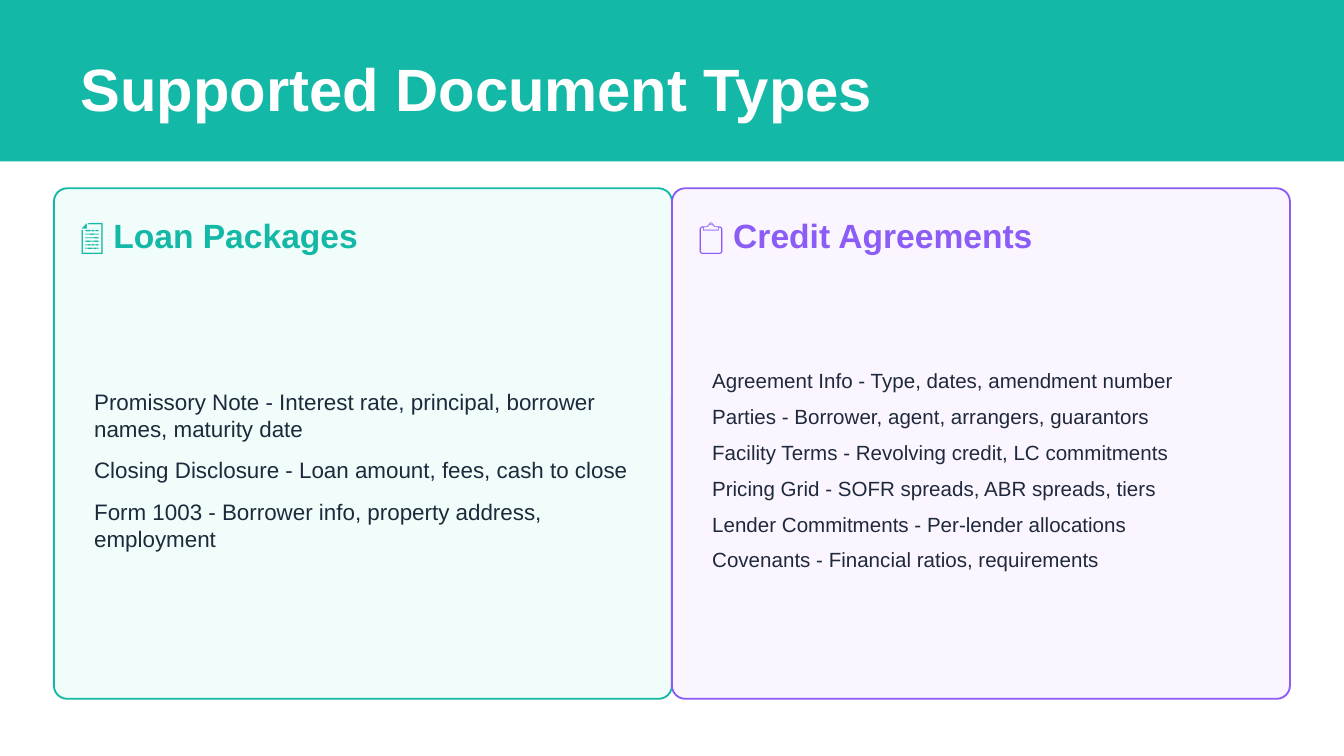
from pptx import Presentation
from pptx.dml.color import RGBColor
from pptx.enum.shapes import MSO_SHAPE
from pptx.enum.text import MSO_ANCHOR
from pptx.util import Cm, Pt

RECTANGLE = MSO_SHAPE.RECTANGLE
ROUNDED = MSO_SHAPE.ROUNDED_RECTANGLE
MIDDLE = MSO_ANCHOR.MIDDLE

TITLE = "Supported Document Types"
CARDS = [
    {
        "heading": "📄 Loan Packages",
        "style": "loan",
        "items": [
            "Promissory Note - Interest rate, principal, borrower names, maturity date",
            "Closing Disclosure - Loan amount, fees, cash to close",
            "Form 1003 - Borrower info, property address, employment",
        ],
    },
    {
        "heading": "📋 Credit Agreements",
        "style": "credit",
        "items": [
            "Agreement Info - Type, dates, amendment number",
            "Parties - Borrower, agent, arrangers, guarantors",
            "Facility Terms - Revolving credit, LC commitments",
            "Pricing Grid - SOFR spreads, ABR spreads, tiers",
            "Lender Commitments - Per-lender allocations",
            "Covenants - Financial ratios, requirements",
        ],
    },
]

THEME = {
    "font": "Arial",
    "banner": "14B8A6",
    "title": "FFFFFF",
    "body": "1E293B",
    "title_size": 32,
    "heading_size": 18,
    "loan": {"accent": "14B8A6", "fill": "F0FDFA", "size": 12, "gap": 8},
    "credit": {"accent": "8B5CF6", "fill": "FAF5FF", "size": 11, "gap": 6},
}

PAGE_WIDTH, PAGE_HEIGHT = 25.4, 14.29
CARD_LEFT, CARD_TOP = 1.02, 3.56
CARD_WIDTH, CARD_HEIGHT = 11.68, 9.65
HEADING_INSET, HEADING_TOP, HEADING_HEIGHT = 0.25, 3.94, 1.02
BODY_INSET, BODY_TOP, BODY_HEIGHT = 0.51, 5.33, 7.11


def add_panel(page, kind, left, top, width, height, fill, line=None):
    panel = page.shapes.add_shape(kind, Cm(left), Cm(top), Cm(width), Cm(height))
    panel.shadow.inherit = False
    panel.fill.solid()
    panel.fill.fore_color.rgb = RGBColor.from_string(fill)
    if line:
        panel.line.color.rgb = RGBColor.from_string(line)
        panel.line.width = Pt(1)
    else:
        panel.line.fill.background()
    return panel


def add_text(page, lines, *, left, top, width, height, size, color, bold=False, gap=0):
    box = page.shapes.add_textbox(Cm(left), Cm(top), Cm(width), Cm(height))
    frame = box.text_frame
    frame.word_wrap = True
    frame.vertical_anchor = MIDDLE
    for index, line in enumerate(lines):
        para = frame.add_paragraph() if index else frame.paragraphs[0]
        para.space_before = Pt(gap)
        span = para.add_run()
        span.text = line
        span.font.name = THEME["font"]
        span.font.size = Pt(size)
        span.font.bold = bold
        span.font.color.rgb = RGBColor.from_string(color)


def add_card(page, card, left):
    style = THEME[card["style"]]
    panel = add_panel(page, ROUNDED, left, CARD_TOP, CARD_WIDTH, CARD_HEIGHT,
                      style["fill"], style["accent"])
    panel.adjustments[0] = 0.026
    add_text(page, [card["heading"]], left=left + HEADING_INSET, top=HEADING_TOP,
             width=CARD_WIDTH - 2 * HEADING_INSET, height=HEADING_HEIGHT,
             size=THEME["heading_size"], color=style["accent"], bold=True)
    add_text(page, card["items"], left=left + BODY_INSET, top=BODY_TOP,
             width=CARD_WIDTH - 2 * BODY_INSET, height=BODY_HEIGHT,
             size=style["size"], color=THEME["body"], gap=style["gap"])


def main():
    deck = Presentation()
    deck.slide_width, deck.slide_height = Cm(PAGE_WIDTH), Cm(PAGE_HEIGHT)
    page = deck.slides.add_slide(deck.slide_layouts[6])
    add_panel(page, RECTANGLE, 0, 0, PAGE_WIDTH, 3.05, THEME["banner"])
    add_text(page, [TITLE], left=1.27, top=1.02, width=22.86, height=1.27,
             size=THEME["title_size"], color=THEME["title"], bold=True)
    for index, card in enumerate(CARDS):
        add_card(page, card, CARD_LEFT + index * CARD_WIDTH)
    deck.save("out.pptx")


if __name__ == "__main__":
    main()
